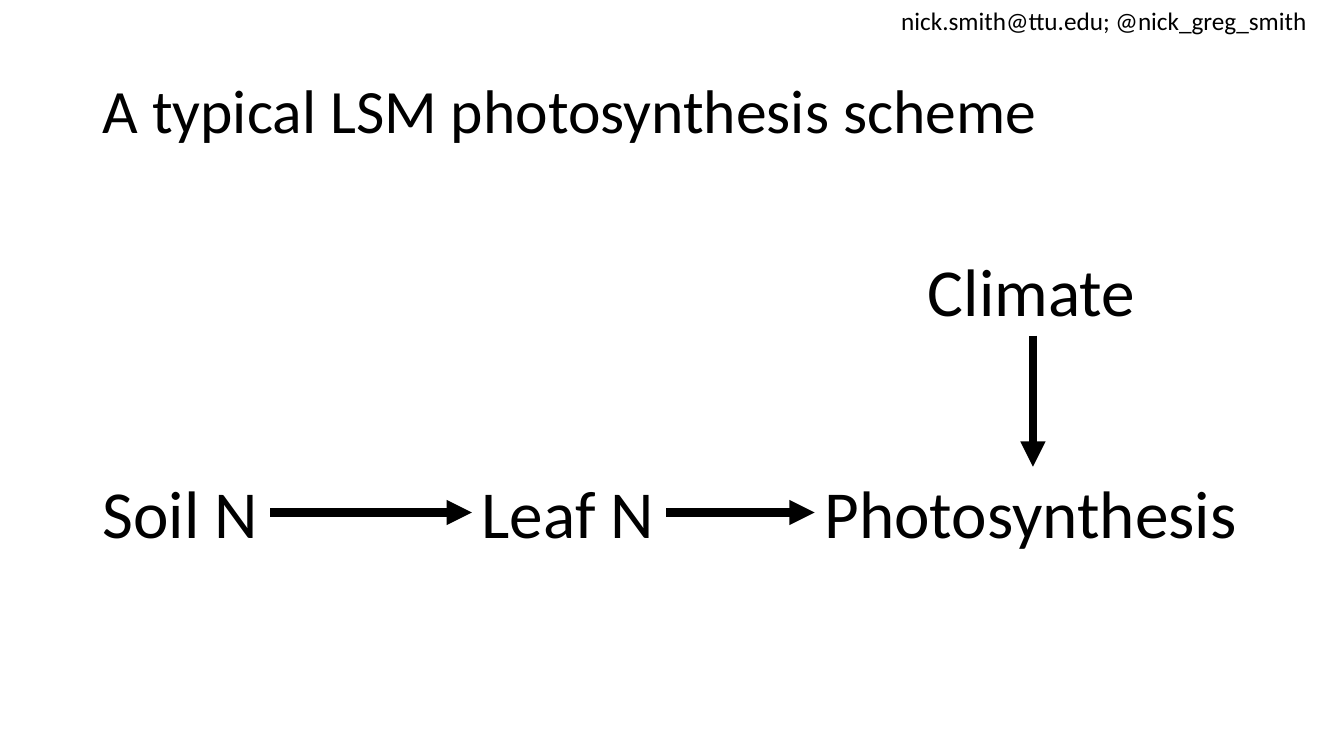
from dataclasses import dataclass

from lxml import etree
from pptx import Presentation
from pptx.dml.color import RGBColor
from pptx.enum.shapes import MSO_CONNECTOR
from pptx.enum.text import MSO_ANCHOR
from pptx.oxml.ns import qn
from pptx.util import Inches, Pt

STRAIGHT = MSO_CONNECTOR.STRAIGHT
TOP, MIDDLE = MSO_ANCHOR.TOP, MSO_ANCHOR.MIDDLE


@dataclass(frozen=True)
class Theme:
    font: str = "Calibri"
    ink: RGBColor = RGBColor(0, 0, 0)
    title: int = 44
    node: int = 48
    note: int = 18
    line: int = 6


THEME = Theme()


def add_text(slide, text, box, size, anchor=TOP, wrap=False, space=1.0):
    frame = slide.shapes.add_textbox(*map(Inches, box)).text_frame
    frame.word_wrap = wrap
    frame.vertical_anchor = anchor
    para = frame.paragraphs[0]
    para.text = text
    para.line_spacing = space
    para.font.name = THEME.font
    para.font.size = Pt(size)
    para.font.color.rgb = THEME.ink


def add_arrow(slide, start, end):
    arrow = slide.shapes.add_connector(STRAIGHT, *map(Inches, start + end))
    arrow.line.color.rgb = THEME.ink
    arrow.line.width = Pt(THEME.line)
    props = arrow.line._get_or_add_ln()
    etree.SubElement(props, qn("a:tailEnd"), type="triangle")
    etree.SubElement(arrow._element.spPr, qn("a:effectLst"))


def main():
    deck = Presentation()
    deck.slide_width, deck.slide_height = Inches(13.33), Inches(7.5)
    slide = deck.slides.add_slide(deck.slide_layouts[6])

    add_text(slide, "A typical LSM photosynthesis scheme", (0.92, 0.4, 11.5, 1.45),
             THEME.title, MIDDLE, True, 0.9)

    high, row, top = 0.91, 4.63, 2.42
    chain = [("Soil N", 0.92, 1.76), ("Leaf N", 4.68, 1.93), ("Photosynthesis", 8.08, 4.33)]
    for name, left, width in chain:
        add_text(slide, name, (left, row, width, high), THEME.node)

    mid = row + high / 2
    for (_, left, width), (_, goal, _) in zip(chain, chain[1:]):
        add_arrow(slide, (left + width, mid), (goal, mid))

    _, left, width = chain[-1]
    axis, span = left + width / 2, 2.28
    add_text(slide, "Climate", (axis - span / 2, top, span, high), THEME.node)
    add_arrow(slide, (axis, top + high), (axis, row))

    add_text(slide, "nick.smith@ttu.edu; @nick_greg_smith", (8.84, 0, 4.27, 0.4), THEME.note)
    deck.save("out.pptx")


if __name__ == "__main__":
    main()
